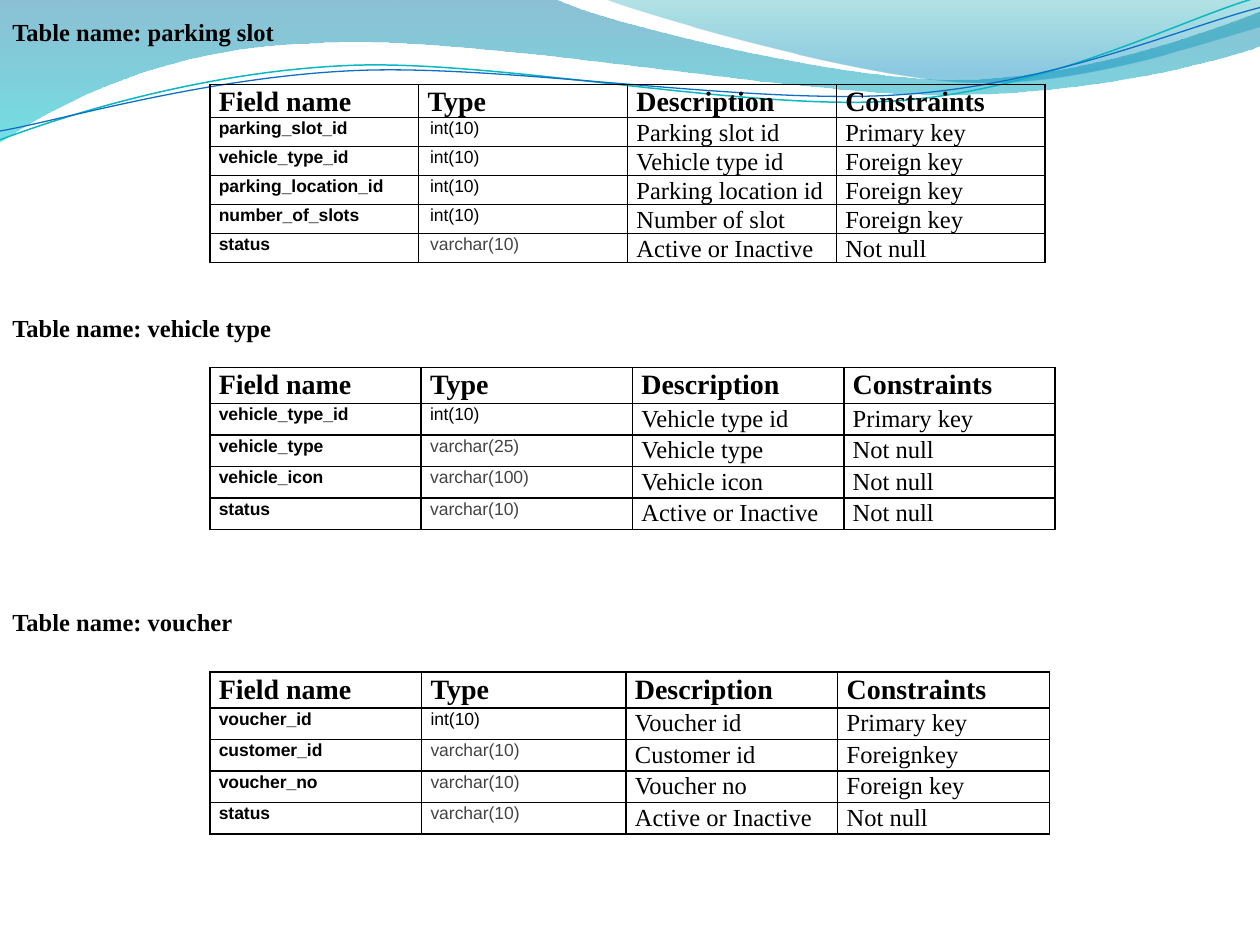
from lxml.etree import SubElement
from pptx import Presentation
from pptx.dml.color import RGBColor
from pptx.enum.text import MSO_ANCHOR
from pptx.oxml import parse_xml
from pptx.oxml.ns import nsdecls, qn
from pptx.util import Cm, Pt

BLACK = RGBColor(0x00, 0x00, 0x00)
GREY = RGBColor(0x44, 0x44, 0x44)
TEAL = RGBColor(0x0A, 0xB8, 0xBF)
BLUE = RGBColor(0x0F, 0x6F, 0xC6)
DEEP_BLUE = RGBColor(0x00, 0x74, 0xA1)
AQUA = RGBColor(0x00, 0xC6, 0xCF)
SEA_GREEN = RGBColor(0x00, 0xA1, 0xA9)
SKY_BLUE = RGBColor(0x00, 0x8B, 0xBF)

SERIF, SANS = "Times New Roman", "Arial"
PAGE_WIDTH, PAGE_HEIGHT = Cm(25.4), Cm(19.05)
TABLE_LEFT = Cm(4.23)
HEADERS = ("Field name", "Type", "Description", "Constraints")
UNITS = 1000  # wave coordinates are tenths of the page width, split in 1000

# Each wave: start point, then straight (2 numbers) or Bezier (6 numbers) segments
BROAD_WAVE = [(0, 0), (4.4, -0.01), (4.76, 0.17, 6.64, 0.63, 7.58, 0.63),
              (8.53, 0.63, 9.58, 0.26, 10, 0.09), (10.01, 0.36),
              (9.83, 0.44, 8.7, 0.76, 7.46, 0.75),
              (6.22, 0.75, 3.82, 0.28, 2.57, 0.34),
              (1.29, 0.36, 0.46, 0.83, -0.01, 1.13), (0, 0)]
CORNER_WAVE = [(4.79, -0.01), (5.09, 0.11, 6.82, 0.62, 7.69, 0.65),
               (8.56, 0.69, 9.61, 0.32, 10, 0.21), (10, 0), (4.79, -0.01)]
TEAL_LINE = [(0, 1.11), (0.48, 0.93, 1.58, 0.57, 2.77, 0.52),
             (3.95, 0.47, 5.93, 0.89, 7.13, 0.8),
             (8.33, 0.71, 9.38, 0.15, 9.98, -0.02)]
BLUE_LINE = [(0, 1.04), (0.47, 0.96, 1.64, 0.61, 2.83, 0.56),
             (4.03, 0.51, 5.97, 0.84, 7.17, 0.75),
             (8.36, 0.67, 9.41, 0.21, 10, 0.06)]

PARKING_SLOT = [
    ("parking_slot_id", "int(10)", "Parking slot id", "Primary key"),
    ("vehicle_type_id", "int(10)", "Vehicle type id", "Foreign key"),
    ("parking_location_id", "int(10)", "Parking location id", "Foreign key"),
    ("number_of_slots", "int(10)", "Number of slot", "Foreign key"),
    ("status", "varchar(10)", "Active or Inactive", "Not null"),
]
VEHICLE_TYPE = [
    ("vehicle_type_id", "int(10)", "Vehicle type id", "Primary key"),
    ("vehicle_type", "varchar(25)", "Vehicle type", "Not null"),
    ("vehicle_icon", "varchar(100)", "Vehicle icon", "Not null"),
    ("status", "varchar(10)", "Active or Inactive", "Not null"),
]
VOUCHER = [
    ("voucher_id", "int(10)", "Voucher id", "Primary key"),
    ("customer_id", "varchar(10)", "Customer id", "Foreignkey"),
    ("voucher_no", "varchar(10)", "Voucher no", "Foreign key"),
    ("status", "varchar(10)", "Active or Inactive", "Not null"),
]


def add_span(para, text, font, size, bold, color=BLACK):
    span = para.add_run()
    span.text = text
    span.font.name = font
    span.font.size = Pt(size)
    span.font.bold = bold
    span.font.color.rgb = color


def add_outline(page, segments, closed):
    """Draw the segments as lines, then merge each Bezier's three lines into a curve."""
    points = [(segment[i] * UNITS, segment[i + 1] * UNITS)
              for segment in segments for i in range(0, len(segment), 2)]
    builder = page.shapes.build_freeform(*points[0], scale=PAGE_WIDTH / (10 * UNITS))
    builder.add_line_segments(points[1:], close=closed)
    shape = builder.convert_to_shape()
    shape.shadow.inherit = False
    lines = iter(list(shape._element.spPr.iter(qn("a:lnTo"))))
    for segment in segments[1:]:
        curve = next(lines)
        if len(segment) == 6:
            curve.tag = qn("a:cubicBezTo")
            for line in (next(lines), next(lines)):
                curve.append(line[0])
                line.getparent().remove(line)
    return shape


def add_filled_wave(page, segments, stops):
    wave = add_outline(page, segments, True)
    wave.line.fill.background()
    wave.fill.gradient()
    wave.fill.gradient_angle = 270
    for stop, (position, color, _) in zip(wave.fill.gradient_stops, stops):
        stop.position = position
        stop.color.rgb = color
    colors = wave._element.spPr.iter(qn("a:srgbClr"))
    for element, (_, _, opacity) in zip(colors, stops):
        SubElement(element, qn("a:alpha")).set("val", str(opacity * 1000))


def add_line_wave(page, segments, color, width):
    wave = add_outline(page, segments, False)
    wave.fill.background()
    wave.line.color.rgb = color
    wave.line.width = Pt(width)


def add_header_waves(page):
    add_filled_wave(page, BROAD_WAVE, [(0, DEEP_BLUE, 45), (1, AQUA, 55)])
    add_filled_wave(page, CORNER_WAVE, [(0, SEA_GREEN, 30), (0.8, SKY_BLUE, 45)])
    add_line_wave(page, TEAL_LINE, TEAL, 0.85)
    add_line_wave(page, BLUE_LINE, BLUE, 0.75)


def add_caption(page, top, name, anchor):
    box = page.shapes.add_textbox(0, top, PAGE_WIDTH, Cm(1.27))
    frame = box.text_frame
    frame.word_wrap = True
    frame.margin_top = frame.margin_bottom = 0
    frame.vertical_anchor = anchor
    add_span(frame.paragraphs[0], f"Table name: {name}", SERIF, 14, True)


def set_borders(cell):
    properties = cell._tc.get_or_add_tcPr()
    for index, side in enumerate(("lnL", "lnR", "lnT", "lnB")):
        properties.insert(index, parse_xml(
            f'<a:{side} {nsdecls("a")} w="{Pt(1)}"><a:solidFill>'
            f'<a:srgbClr val="{BLACK}"/></a:solidFill></a:{side}>'))


def fill_cell(cell, text, row, column, type_indent):
    cell.fill.background()
    set_borders(cell)
    cell.margin_left = cell.margin_right = Cm(0.18)
    cell.margin_top = cell.margin_bottom = 0
    para = cell.text_frame.paragraphs[0]
    para.line_spacing = 1.07
    para.space_before = para.space_after = Pt(1.2)
    if row == 0:
        add_span(para, text, SERIF, 16, True)
    elif column == 0:
        add_span(para, text, SANS, 10, True)
    elif column == 1:
        para._p.get_or_add_pPr().set("marL", str(type_indent))
        add_span(para, text, SANS, 10, False, GREY if text.startswith("varchar") else BLACK)
    else:
        add_span(para, text, SERIF, 14, False)


def add_field_table(page, top, height, widths, row_heights, fields, type_indent=0):
    rows = [HEADERS] + fields
    table = page.shapes.add_table(len(rows), len(HEADERS), TABLE_LEFT, top,
                                  sum(widths), height).table
    table.first_row = table.horz_banding = False
    for column, width in zip(table.columns, widths):
        column.width = width
    for r, texts in enumerate(rows):
        table.rows[r].height = row_heights[min(r, 1)]
        for c, text in enumerate(texts):
            fill_cell(table.cell(r, c), text, r, c, type_indent)


def main():
    deck = Presentation()
    deck.slide_width, deck.slide_height = PAGE_WIDTH, PAGE_HEIGHT
    page = deck.slides.add_slide(deck.slide_layouts[6])
    add_header_waves(page)

    # Parking slot: rows shrink to their text
    add_field_table(page, Cm(1.7), Cm(3.89), [Cm(4.21)] * 4, (0, 0),
                    PARKING_SLOT, Cm(0.05))
    add_caption(page, 0, "parking slot", MSO_ANCHOR.MIDDLE)

    # Vehicle type
    row_heights = (Cm(0.72), Cm(0.63))
    add_field_table(page, Cm(7.41), Cm(3.25), [Cm(4.26)] * 4, row_heights, VEHICLE_TYPE)
    add_caption(page, Cm(6.31), "vehicle type", MSO_ANCHOR.TOP)

    # Voucher
    widths = [Cm(4.27), Cm(4.12), Cm(4.27), Cm(4.27)]
    add_field_table(page, Cm(13.55), Cm(3.25), widths, row_heights, VOUCHER)
    add_caption(page, Cm(12.24), "voucher", MSO_ANCHOR.TOP)

    deck.save("out.pptx")


if __name__ == "__main__":
    main()
